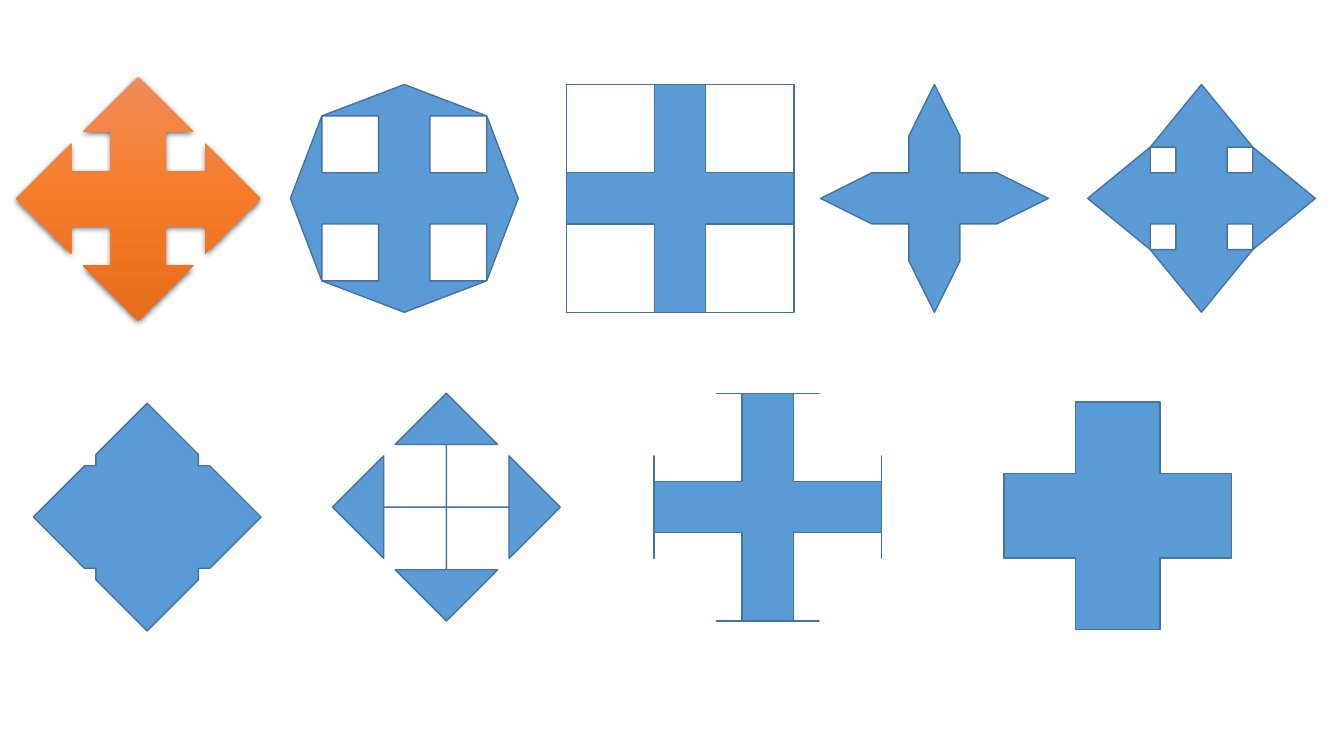
"""Build a slide of nine quad-arrow variations."""
from lxml import etree
from pptx import Presentation
from pptx.dml.color import RGBColor
from pptx.enum.shapes import MSO_SHAPE
from pptx.oxml.ns import qn
from pptx.util import Cm, Pt

QUAD_ARROW = MSO_SHAPE.QUAD_ARROW
SLIDE_SIZE = (33.87, 19.05)
BLUE, BLUE_EDGE = "5B9BD5", "43739E"
ARROW_SIZE, TOP_ROW = 5.74, 2.13
BLUE_ARROWS = [
    (25.30, 10.13, (0.45, 0.185, 0)),
    (7.32, TOP_ROW, (0.225, 0.362, 0.225)),
    (14.27, TOP_ROW, (0.225, 0.5, 0.225)),
    (20.68, TOP_ROW, (0.225, 0.112, 0.225)),
    (0.84, 10.16, (0.45, 0.225, 0.225)),
    (8.38, 9.91, (0, 0.225, 0.225)),
    (16.48, 9.91, (0.225, 0.225, 0)),
    (27.41, TOP_ROW, (0.225, 0.225, 0.275)),
]
ORANGE_ARROW = (0.41, 1.93, 6.15)
ORANGE_STOPS = [(0, "F18C57"), (50, "F67B28"), (100, "E56C19")]
SHADOW = {"color": "000000", "opacity": 63, "blur": 4.5, "distance": 1.5, "angle": 90}


def rgb(value):
    return RGBColor.from_string(value)


def add_arrow(slide, left, top, size):
    shape = slide.shapes.add_shape(QUAD_ARROW, Cm(left), Cm(top), Cm(size), Cm(size))
    shape.shadow.inherit = False
    return shape


def add_element(parent, tag, **attributes):
    values = {name: str(value) for name, value in attributes.items()}
    return etree.SubElement(parent, qn(tag), values)


def add_blue_arrow(slide, left, top, adjustments):
    shape = add_arrow(slide, left, top, ARROW_SIZE)
    for index, value in enumerate(adjustments):
        shape.adjustments[index] = value
    shape.fill.solid()
    shape.fill.fore_color.rgb = rgb(BLUE)
    shape.line.color.rgb = rgb(BLUE_EDGE)
    shape.line.width = Pt(1)


def add_orange_arrow(slide):
    shape = add_arrow(slide, *ORANGE_ARROW)
    shape.line.fill.background()
    shape.fill.gradient()
    shape.fill.gradient_angle = 270
    properties = shape.element.spPr
    stop_list = properties.find(f"{qn('a:gradFill')}/{qn('a:gsLst')}")
    for stop in list(stop_list):
        stop_list.remove(stop)
    for position, color in ORANGE_STOPS:
        stop = add_element(stop_list, "a:gs", pos=position * 1000)
        add_element(stop, "a:srgbClr", val=color)
    shadow = add_element(
        properties.find(qn("a:effectLst")), "a:outerShdw",
        blurRad=Pt(SHADOW["blur"]), dist=Pt(SHADOW["distance"]),
        dir=SHADOW["angle"] * 60000, algn="ctr", rotWithShape=0,
    )
    color = add_element(shadow, "a:srgbClr", val=SHADOW["color"])
    add_element(color, "a:alpha", val=SHADOW["opacity"] * 1000)


def main():
    presentation = Presentation()
    presentation.slide_width, presentation.slide_height = map(Cm, SLIDE_SIZE)
    slide = presentation.slides.add_slide(presentation.slide_layouts[6])
    for left, top, adjustments in BLUE_ARROWS:
        add_blue_arrow(slide, left, top, adjustments)
    add_orange_arrow(slide)
    presentation.save("out.pptx")


if __name__ == "__main__":
    main()
